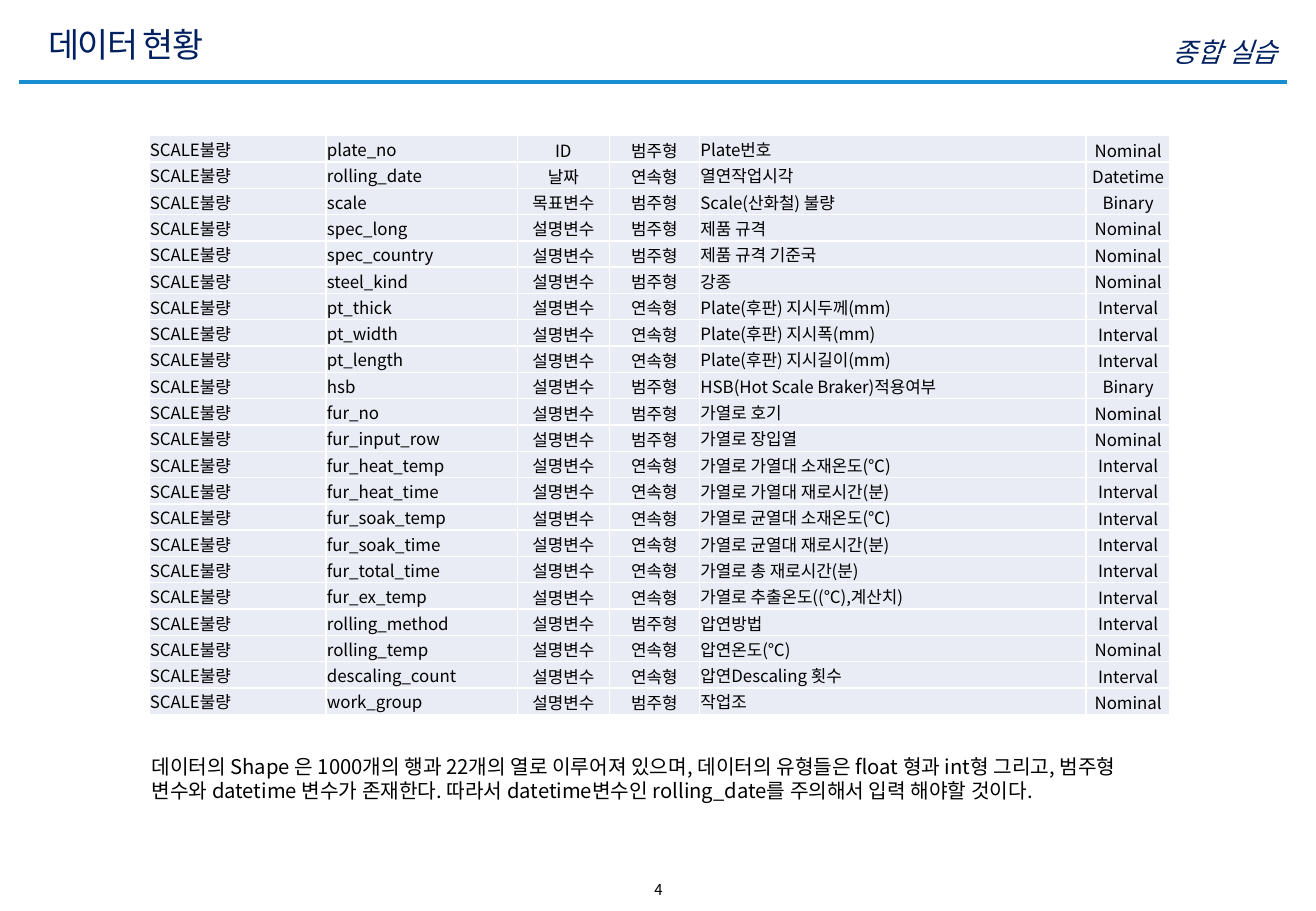
from dataclasses import dataclass
from typing import NamedTuple

from lxml.etree import SubElement
from pptx import Presentation
from pptx.dml.color import RGBColor
from pptx.enum.shapes import MSO_CONNECTOR
from pptx.enum.text import MSO_ANCHOR as Anchor, PP_ALIGN as Align
from pptx.oxml.ns import qn
from pptx.util import Emu, Pt

PX = 7620  # 120 px to the inch


@dataclass(frozen=True)
class Theme:
    font: str = "Noto Sans CJK KR"
    navy: str = "002060"
    black: str = "000000"
    rule: str = "188DD0"
    cell: str = "E9EBF5"
    border: str = "FFFFFF"
    title_size: float = 20
    section_size: float = 16
    body_size: float = 12
    table_size: float = 10
    page_size: float = 8.9


class Box(NamedTuple):
    left: int
    top: int
    width: int
    height: int


class Variable(NamedTuple):
    name: str
    role: str
    kind: str
    label: str
    measure: str


class Column(NamedTuple):
    width: int
    centred: bool = False


THEME = Theme()
DATASET = "SCALE불량"
ROW_HEIGHT = 26
COLUMNS = [Column(175), Column(189), Column(91, True), Column(89, True),
           Column(382), Column(83, True)]
VARIABLES = [
    Variable("plate_no", "ID", "범주형", "Plate번호", "Nominal"),
    Variable("rolling_date", "날짜", "연속형", "열연작업시각", "Datetime"),
    Variable("scale", "목표변수", "범주형", "Scale(산화철) 불량", "Binary"),
    Variable("spec_long", "설명변수", "범주형", "제품 규격", "Nominal"),
    Variable("spec_country", "설명변수", "범주형", "제품 규격 기준국", "Nominal"),
    Variable("steel_kind", "설명변수", "범주형", "강종", "Nominal"),
    Variable("pt_thick", "설명변수", "연속형", "Plate(후판) 지시두께(mm)", "Interval"),
    Variable("pt_width", "설명변수", "연속형", "Plate(후판) 지시폭(mm)", "Interval"),
    Variable("pt_length", "설명변수", "연속형", "Plate(후판) 지시길이(mm)", "Interval"),
    Variable("hsb", "설명변수", "범주형", "HSB(Hot Scale Braker)적용여부", "Binary"),
    Variable("fur_no", "설명변수", "범주형", "가열로 호기", "Nominal"),
    Variable("fur_input_row", "설명변수", "범주형", "가열로 장입열", "Nominal"),
    Variable("fur_heat_temp", "설명변수", "연속형", "가열로 가열대 소재온도(℃)", "Interval"),
    Variable("fur_heat_time", "설명변수", "연속형", "가열로 가열대 재로시간(분)", "Interval"),
    Variable("fur_soak_temp", "설명변수", "연속형", "가열로 균열대 소재온도(℃)", "Interval"),
    Variable("fur_soak_time", "설명변수", "연속형", "가열로 균열대 재로시간(분)", "Interval"),
    Variable("fur_total_time", "설명변수", "연속형", "가열로 총 재로시간(분)", "Interval"),
    Variable("fur_ex_temp", "설명변수", "연속형", "가열로 추출온도((℃),계산치)", "Interval"),
    Variable("rolling_method", "설명변수", "범주형", "압연방법", "Interval"),
    Variable("rolling_temp", "설명변수", "연속형", "압연온도(℃)", "Nominal"),
    Variable("descaling_count", "설명변수", "연속형", "압연Descaling 횟수", "Interval"),
    Variable("work_group", "설명변수", "범주형", "작업조", "Nominal"),
]
SUMMARY = ("데이터의 Shape 은 1000개의 행과 22개의 열로 이루어져 있으며, "
           "데이터의 유형들은 float 형과 int형 그리고, "
           "범주형 변수와 datetime 변수가 존재한다. "
           "따라서 datetime변수인 rolling_date를 주의해서 입력 해야할 것이다.")


def px(length: int) -> Emu:
    return Emu(length * PX)


def write_text(frame, text: str, *, size: float, color: str = THEME.black,
               align: Align = Align.LEFT, italic: bool = False,
               tracking: int = 0, leading: float | None = None) -> None:
    """Fill the first paragraph; tracking is in hundredths of a point."""
    para = frame.paragraphs[0]
    para.alignment = align
    if leading:
        para.line_spacing = leading
    span = para.add_run()
    span.text = text
    font = span.font
    font.name, font.size, font.italic = THEME.font, Pt(size), italic
    font.color.rgb = RGBColor.from_string(color)
    properties = span._r.get_or_add_rPr()
    SubElement(properties, qn("a:ea")).set("typeface", THEME.font)
    if tracking:
        properties.set("spc", str(tracking))


def add_text(page, box: Box, text: str, *, anchor: Anchor = Anchor.TOP, **style) -> None:
    frame = page.shapes.add_textbox(*map(px, box)).text_frame
    frame.word_wrap = True
    frame.vertical_anchor = anchor
    write_text(frame, text, **style)


def add_rule(page, left: int, right: int, y: int) -> None:
    rule = page.shapes.add_connector(
        MSO_CONNECTOR.STRAIGHT, px(left), px(y), px(right), px(y))
    rule.line.color.rgb = RGBColor.from_string(THEME.rule)
    rule.line.width = Pt(2)
    SubElement(rule._element.spPr, qn("a:effectLst"))


def style_cell(cell, anchor: Anchor) -> None:
    cell.margin_left = cell.margin_top = cell.margin_right = px(1)
    cell.margin_bottom = 0
    cell.vertical_anchor = anchor
    properties = cell._tc.get_or_add_tcPr()
    for side in ("lnL", "lnR", "lnT", "lnB"):
        edge = SubElement(properties, qn(f"a:{side}"), w=str(Pt(1)))
        paint = SubElement(edge, qn("a:solidFill"))
        SubElement(paint, qn("a:srgbClr")).set("val", THEME.border)
    cell.fill.solid()
    cell.fill.fore_color.rgb = RGBColor.from_string(THEME.cell)


def add_variable_table(page, left: int, top: int) -> None:
    box = Box(left, top, sum(column.width for column in COLUMNS),
              ROW_HEIGHT * len(VARIABLES))
    table = page.shapes.add_table(
        len(VARIABLES), len(COLUMNS), *map(px, box)).table
    table.first_row = table.horz_banding = False
    for index, column in enumerate(COLUMNS):
        table.columns[index].width = px(column.width)
    for row, variable in enumerate(VARIABLES):
        table.rows[row].height = px(ROW_HEIGHT)
        for index, (column, text) in enumerate(zip(COLUMNS, (DATASET, *variable))):
            cell = table.cell(row, index)
            low = column.centred and variable.name != "scale"
            style_cell(cell, Anchor.BOTTOM if low else Anchor.MIDDLE)
            write_text(cell.text_frame, text, size=THEME.table_size,
                       align=Align.CENTER if column.centred else Align.LEFT)


def main() -> None:
    deck = Presentation()
    deck.slide_width, deck.slide_height = px(1300), px(900)
    page = deck.slides.add_slide(deck.slide_layouts[6])
    add_rule(page, 19, 1271, 81)
    add_text(page, Box(527, 864, 247, 30), "4",
             size=THEME.page_size, align=Align.CENTER)
    add_text(page, Box(786, 29, 488, 36), "종합 실습", size=THEME.section_size,
             color=THEME.navy, align=Align.RIGHT, italic=True)
    add_text(page, Box(36, 17, 1021, 53), "데이터 현황", anchor=Anchor.MIDDLE,
             size=THEME.title_size, color=THEME.navy, tracking=-100)
    add_variable_table(page, 147, 134)
    add_text(page, Box(138, 739, 1027, 60), SUMMARY, size=THEME.body_size)
    deck.save("out.pptx")


if __name__ == "__main__":
    main()
